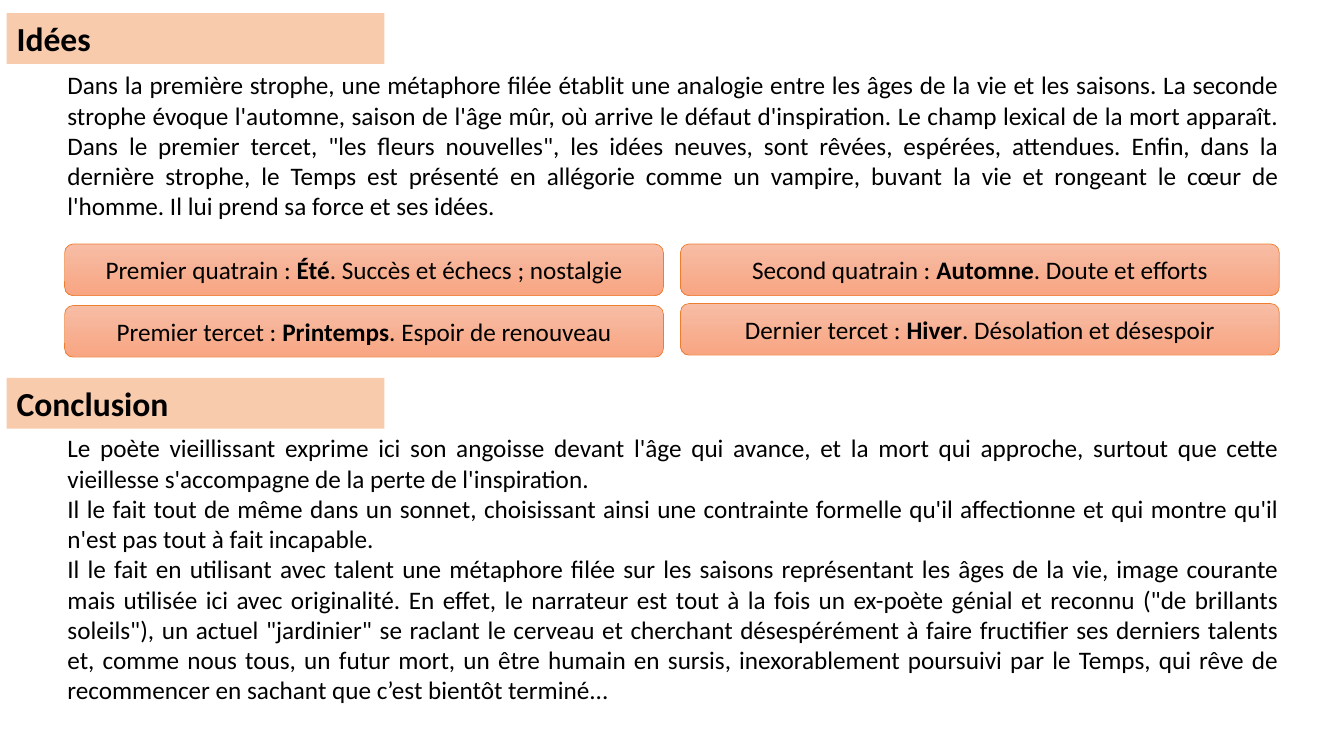
from pptx import Presentation
from pptx.dml.color import RGBColor
from pptx.enum.shapes import MSO_SHAPE
from pptx.enum.text import MSO_ANCHOR, PP_ALIGN
from pptx.util import Cm, Pt

COLORS = {
    "text": "000000",
    "heading": "F8CBAD",
    "card_top": "F7BDA5",
    "card_bottom": "F8A582",
    "card_line": "ED7D31",
}

IDEAS = [
    "Dans la première strophe, une métaphore filée établit une analogie entre les âges de la vie "
    "et les saisons. La seconde strophe évoque l'automne, saison de l'âge mûr, où arrive le défaut "
    "d'inspiration. Le champ lexical de la mort apparaît. Dans le premier tercet, \"les fleurs "
    "nouvelles\", les idées neuves, sont rêvées, espérées, attendues. Enfin, dans la dernière "
    "strophe, le Temps est présenté en allégorie comme un vampire, buvant la vie et rongeant le "
    "cœur de l'homme. Il lui prend sa force et ses idées.",
]
CONCLUSION = [
    "Le poète vieillissant exprime ici son angoisse devant l'âge qui avance, et la mort qui "
    "approche, surtout que cette vieillesse s'accompagne de la perte de l'inspiration.",
    "Il le fait tout de même dans un sonnet, choisissant ainsi une contrainte formelle qu'il "
    "affectionne et qui montre qu'il n'est pas tout à fait incapable.",
    "Il le fait en utilisant avec talent une métaphore filée sur les saisons représentant les âges "
    "de la vie, image courante mais utilisée ici avec originalité. En effet, le narrateur est tout "
    "à la fois un ex-poète génial et reconnu (\"de brillants soleils\"), un actuel \"jardinier\" se "
    "raclant le cerveau et cherchant désespérément à faire fructifier ses derniers talents et, "
    "comme nous tous, un futur mort, un être humain en sursis, inexorablement poursuivi par le "
    "Temps, qui rêve de recommencer en sachant que c’est bientôt terminé...",
]
STANZAS = [
    (1.63, 6.15, "Premier quatrain : ", "Été", ". Succès et échecs ; nostalgie"),
    (17.15, 6.15, "Second quatrain : ", "Automne", ". Doute et efforts"),
    (1.63, 7.7, "Premier tercet : ", "Printemps", ". Espoir de renouveau"),
    (17.15, 7.65, "Dernier tercet : ", "Hiver", ". Désolation et désespoir"),
]


def color(name):
    return RGBColor.from_string(COLORS[name])


def add_run(paragraph, text, size=18, bold=False):
    run = paragraph.add_run()
    run.text = text
    run.font.name = "Calibri"
    run.font.size = Pt(size)
    run.font.bold = bold
    run.font.color.rgb = color("text")


def add_body(slide, paragraphs, top, height):
    box = slide.shapes.add_textbox(Cm(1.45), Cm(top), Cm(31.04), Cm(height))
    frame = box.text_frame
    frame.word_wrap = True
    for index, text in enumerate(paragraphs):
        paragraph = frame.add_paragraph() if index else frame.paragraphs[0]
        paragraph.alignment = PP_ALIGN.JUSTIFY
        add_run(paragraph, text)


def add_block(slide, preset, left, top, width, height, alignment):
    shape = slide.shapes.add_shape(preset, Cm(left), Cm(top), Cm(width), Cm(height))
    shape.shadow.inherit = False
    shape.text_frame.word_wrap = True
    shape.text_frame.vertical_anchor = MSO_ANCHOR.MIDDLE
    paragraph = shape.text_frame.paragraphs[0]
    paragraph.alignment = alignment
    return shape, paragraph


def add_heading(slide, text, top):
    shape, paragraph = add_block(
        slide, MSO_SHAPE.RECTANGLE, 0.17, top, 9.52, 1.28, PP_ALIGN.LEFT
    )
    shape.fill.solid()
    shape.fill.fore_color.rgb = color("heading")
    shape.line.fill.background()
    add_run(paragraph, text, size=24, bold=True)


def add_stanza_card(slide, left, top, stanza, season, theme):
    shape, paragraph = add_block(
        slide, MSO_SHAPE.ROUNDED_RECTANGLE, left, top, 15.09, 1.3, PP_ALIGN.CENTER
    )
    shape.fill.gradient()
    shape.fill.gradient_angle = 270
    for stop, name in zip(shape.fill.gradient_stops, ("card_top", "card_bottom")):
        stop.color.rgb = color(name)
    shape.line.color.rgb = color("card_line")
    shape.line.width = Pt(0.5)
    add_run(paragraph, stanza)
    add_run(paragraph, season, bold=True)
    add_run(paragraph, theme)


def main():
    presentation = Presentation()
    presentation.slide_width = Cm(33.87)
    presentation.slide_height = Cm(19.05)
    slide = presentation.slides.add_slide(presentation.slide_layouts[6])
    add_body(slide, IDEAS, top=1.63, height=4.1)
    add_body(slide, CONCLUSION, top=10.78, height=7.2)
    for stanza in STANZAS:
        add_stanza_card(slide, *stanza)
    add_heading(slide, "Idées", top=0.33)
    add_heading(slide, "Conclusion", top=9.52)
    presentation.save("out.pptx")


if __name__ == "__main__":
    main()
